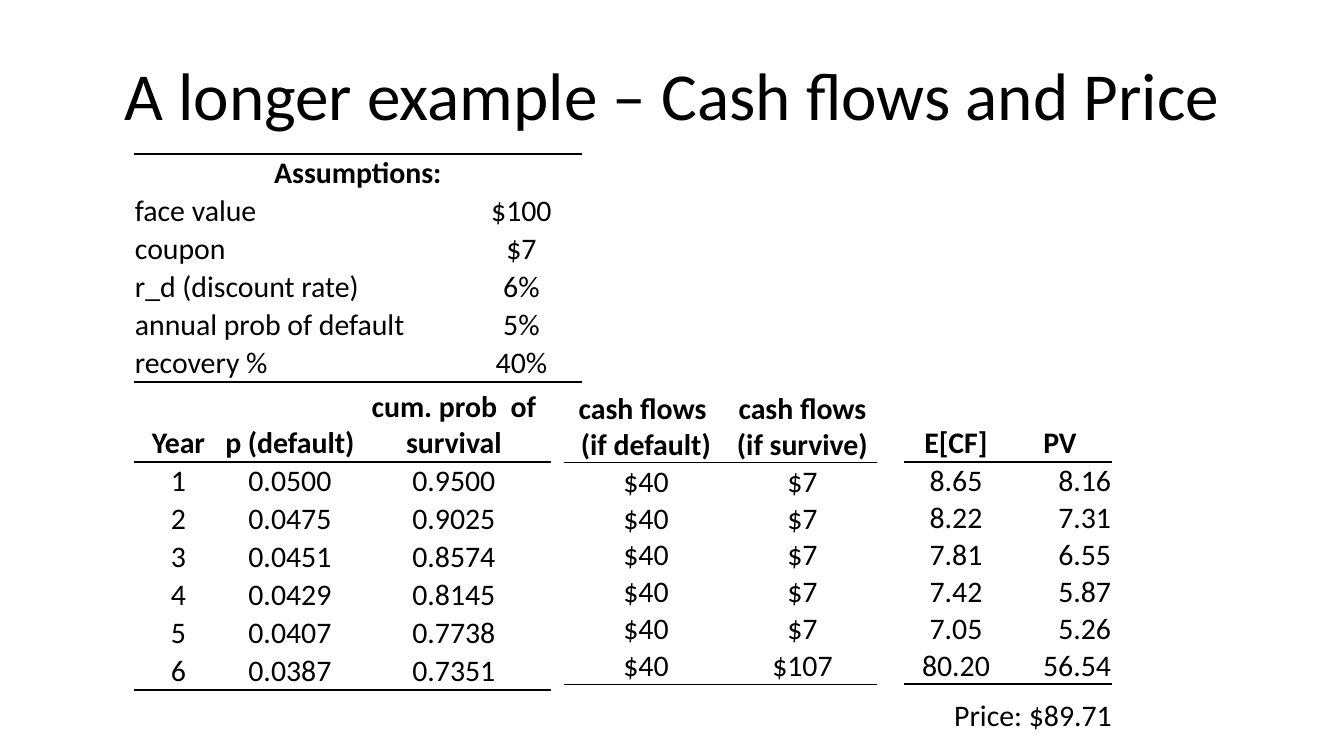
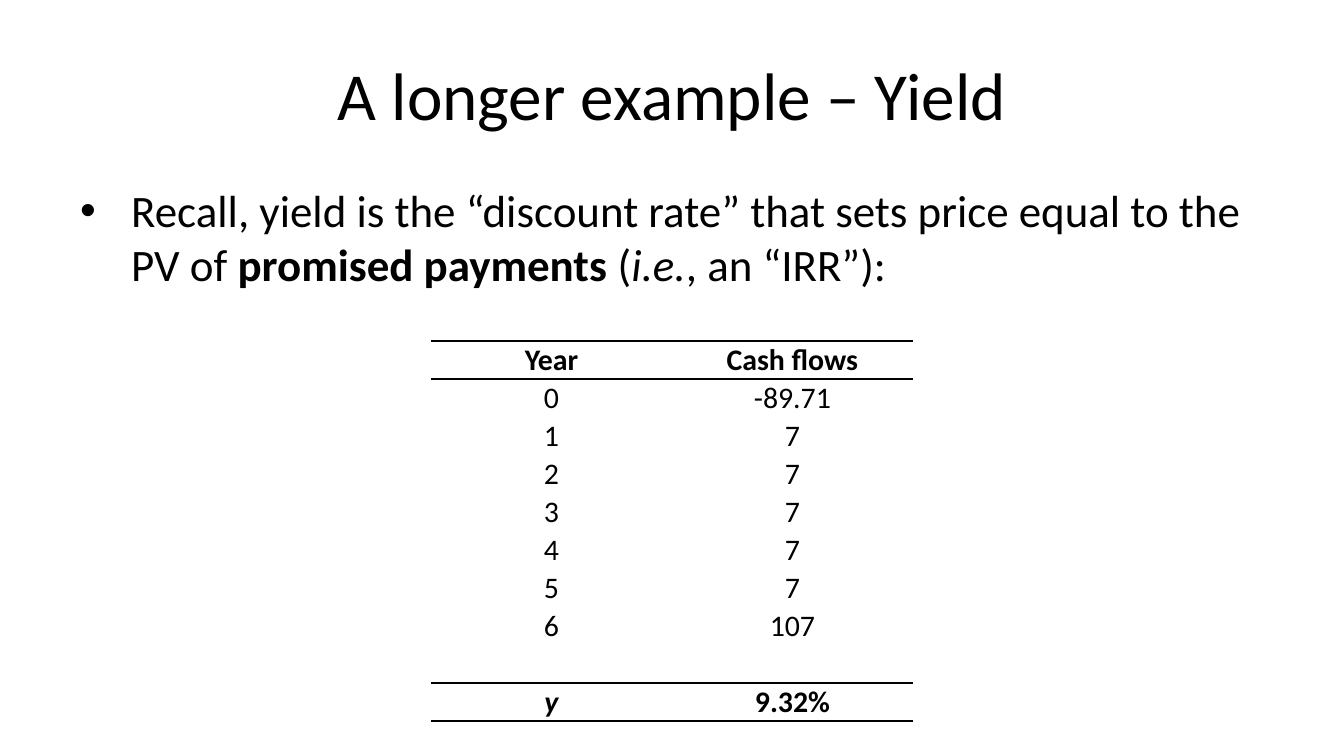
"""Build two slides on the cash flows, price and yield of a risky bond."""
from dataclasses import dataclass
from typing import Any

import lxml.etree
import pptx
import pptx.dml.color
import pptx.enum.text
import pptx.oxml.ns
import pptx.util

SCALE = 914400 / 134.4
ALIGN = {
    "l": pptx.enum.text.PP_ALIGN.LEFT,
    "c": pptx.enum.text.PP_ALIGN.CENTER,
    "r": pptx.enum.text.PP_ALIGN.RIGHT,
}
PLAIN_GRID = "{2D5ABB26-0587-4C30-8999-92F81FD0307C}"


@dataclass(frozen=True)
class Theme:
    """Colours, font and type sizes of the deck."""
    font: str = "Calibri"
    ink: str = "000000"
    title: float = 36
    body: float = 24.1
    small: float = 16
    rule: float = 1


@dataclass(frozen=True)
class Box:
    """A place on the slide, in pixels."""
    left: int
    top: int
    width: int
    height: int


@dataclass(frozen=True)
class Run:
    """A piece of text with one style."""
    text: str
    bold: bool = False
    slant: bool = False


@dataclass(frozen=True)
class Grid:
    """A ruled table: sizes in pixels, rules and bold rows by row index."""
    left: int
    top: int
    cols: tuple[int, ...]
    head: int
    step: int
    rows: list[tuple[str, ...]]
    align: str
    above: tuple[int, ...] = ()
    below: tuple[int, ...] = (0, -1)
    bold: tuple[int, ...] = (0,)


THEME = Theme()
TITLE = Box(67, 31, 1210, 126)
POINT = Box(67, 176, 1210, 101)
PRICE = Box(941, 690, 193, 50)
INDENT = 51

TERMS = Grid(134, 154, (327, 121), 38, 38, [
    ("Assumptions:", ""),
    ("face value", "$100"),
    ("coupon", "$7"),
    ("r_d (discount rate)", "6%"),
    ("annual prob of default", "5%"),
    ("recovery %", "40%"),
], "lc", above=(0,), below=(-1,))

ODDS = Grid(134, 384, (89, 134, 194), 78, 38, [
    ("Year", "p (default)", "cum. prob  of survival"),
    ("1", "0.0500", "0.9500"),
    ("2", "0.0475", "0.9025"),
    ("3", "0.0451", "0.8574"),
    ("4", "0.0429", "0.8145"),
    ("5", "0.0407", "0.7738"),
    ("6", "0.0387", "0.7351"),
], "ccc")

FLOWS = Grid(564, 390, (164, 149), 72, 37, [
    ("cash flows \n(if default)", "cash flows (if survive)"),
    *[("$40", "$7")] * 5,
    ("$40", "$107"),
], "cc")

VALUES = Grid(904, 402, (104, 104), 60, 37, [
    ("E[CF]", "PV"),
    ("8.65", "8.16"),
    ("8.22", "7.31"),
    ("7.81", "6.55"),
    ("7.42", "5.87"),
    ("7.05", "5.26"),
    ("80.20", "56.54"),
], "cr")

YIELD = Grid(431, 341, (241, 241), 38, 38, [
    ("Year", "Cash flows"),
    ("0", "-89.71"),
    *[(str(year), "7") for year in range(1, 6)],
    ("6", "107"),
    ("", ""),
    ("y", "9.32%"),
], "cc", above=(0, -1), bold=(0, -1))


def px(size: float) -> pptx.util.Emu:
    """Turn pixels into EMU."""
    return pptx.util.Emu(round(size * SCALE))


def place(box: Box) -> tuple[pptx.util.Emu, ...]:
    """Give a box as left, top, width and height in EMU."""
    return px(box.left), px(box.top), px(box.width), px(box.height)


def write(para: Any, run: Run, size: float) -> None:
    """Add one run, with a line break at each newline."""
    for index, line in enumerate(run.text.split("\n")):
        if index:
            para.add_line_break()
        part = para.add_run()
        part.text = line
        font = part.font
        font.name, font.size = THEME.font, pptx.util.Pt(size)
        font.bold, font.italic = run.bold, run.slant
        font.color.rgb = pptx.dml.color.RGBColor.from_string(THEME.ink)


def add_node(parent: Any, tag: str, **attrs: str) -> Any:
    """Append an XML child, such as a:ln."""
    return lxml.etree.SubElement(parent, pptx.oxml.ns.qn(tag), attrs)


def add_rule(cell: Any, side: str) -> None:
    """Draw a rule on the top (T) or bottom (B) of a cell."""
    width = str(pptx.util.Pt(THEME.rule))
    line = add_node(cell._tc.get_or_add_tcPr(), f"a:ln{side}", w=width)
    add_node(add_node(line, "a:solidFill"), "a:srgbClr", val=THEME.ink)


def fill_cell(cell: Any, run: Run, align: str) -> None:
    """Set the text, margins and place of text in a cell."""
    cell.fill.background()
    cell.margin_left = cell.margin_right = cell.margin_top = px(1)
    cell.margin_bottom = 0
    cell.vertical_anchor = pptx.enum.text.MSO_ANCHOR.BOTTOM
    para = cell.text_frame.paragraphs[0]
    para.alignment = ALIGN[align]
    if run.text:
        write(para, run, THEME.small)
    else:
        add_node(para._p, "a:endParaRPr", sz=str(int(THEME.small * 100)))


def add_grid(slide: Any, grid: Grid) -> Any:
    """Draw a ruled table and return it."""
    count = len(grid.rows)
    high = grid.head + grid.step * (count - 1)
    box = Box(grid.left, grid.top, sum(grid.cols), high)
    frame = slide.shapes.add_table(count, len(grid.cols), *place(box))
    table = frame.table
    table.first_row = table.horz_banding = False
    for style in frame.element.iter(pptx.oxml.ns.qn("a:tableStyleId")):
        style.text = PLAIN_GRID
    for col, width in zip(table.columns, grid.cols):
        col.width = px(width)
    for index, texts in enumerate(grid.rows):
        table.rows[index].height = px(grid.step if index else grid.head)
        keys = {index, index - count}
        for col, text in enumerate(texts):
            cell = table.cell(index, col)
            for side, marks in (("T", grid.above), ("B", grid.below)):
                if keys & set(marks):
                    add_rule(cell, side)
            run = Run(text, bold=bool(keys & set(grid.bold)))
            fill_cell(cell, run, grid.align[col] if index else "c")
    return table


def add_slide(deck: Any, title: str) -> Any:
    """Add a slide with a centred title."""
    slide = deck.slides.add_slide(deck.slide_layouts[5])
    head = slide.shapes.title
    head.left, head.top, head.width, head.height = place(TITLE)
    head.text_frame.vertical_anchor = pptx.enum.text.MSO_ANCHOR.MIDDLE
    para = head.text_frame.paragraphs[0]
    para.alignment = ALIGN["c"]
    write(para, Run(title), THEME.title)
    return slide


def add_text(slide: Any, box: Box, runs: list[Run], size: float,
             wrap: bool = True) -> Any:
    """Add a text box and return its paragraph."""
    frame = slide.shapes.add_textbox(*place(box)).text_frame
    frame.word_wrap = wrap
    if not wrap:
        frame.auto_size = pptx.enum.text.MSO_AUTO_SIZE.SHAPE_TO_FIT_TEXT
    para = frame.paragraphs[0]
    for run in runs:
        write(para, run, size)
    return para


def add_dot(para: Any) -> None:
    """Give a paragraph a bullet and a hanging indent."""
    para.space_before = pptx.util.Pt(12)
    props = para._p.get_or_add_pPr()
    props.set("marL", str(px(INDENT)))
    props.set("indent", str(px(-INDENT)))
    add_node(props, "a:buFont", typeface="Arial")
    add_node(props, "a:buChar", char="•")


def price_slide(deck: Any) -> None:
    """Build the slide with cash flows and price."""
    slide = add_slide(deck, "A longer example – Cash flows and Price")
    terms = add_grid(slide, TERMS)
    terms.cell(0, 0).merge(terms.cell(0, 1))
    add_grid(slide, ODDS)
    add_text(slide, PRICE, [Run("Price: $89.71 ")], THEME.small, wrap=False)
    add_grid(slide, FLOWS)
    add_grid(slide, VALUES)


def yield_slide(deck: Any) -> None:
    """Build the slide with the yield."""
    slide = add_slide(deck, "A longer example – Yield")
    add_dot(add_text(slide, POINT, [
        Run("Recall, yield is the “discount rate” that sets price equal "
            "to the PV of "),
        Run("promised payments ", bold=True),
        Run("("),
        Run("i.e.", slant=True),
        Run(", an “IRR”):"),
    ], THEME.body))
    table = add_grid(slide, YIELD)
    last = table.cell(len(YIELD.rows) - 1, 0).text_frame.paragraphs[0]
    last.runs[0].font.italic = True


def main() -> None:
    """Build and save the deck."""
    deck = pptx.Presentation()
    deck.slide_width, deck.slide_height = px(1344), px(756)
    price_slide(deck)
    yield_slide(deck)
    deck.save("out.pptx")


main()
